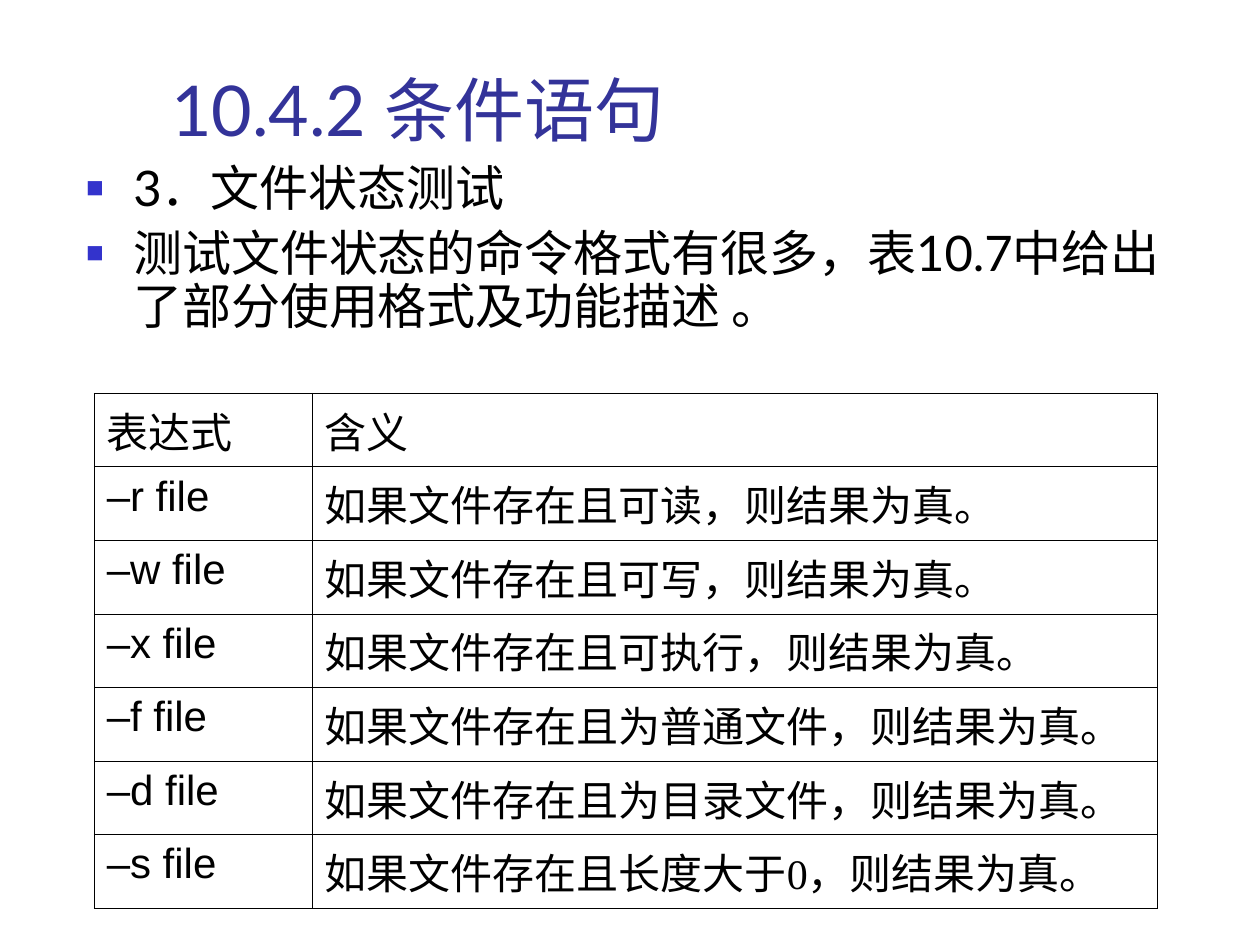
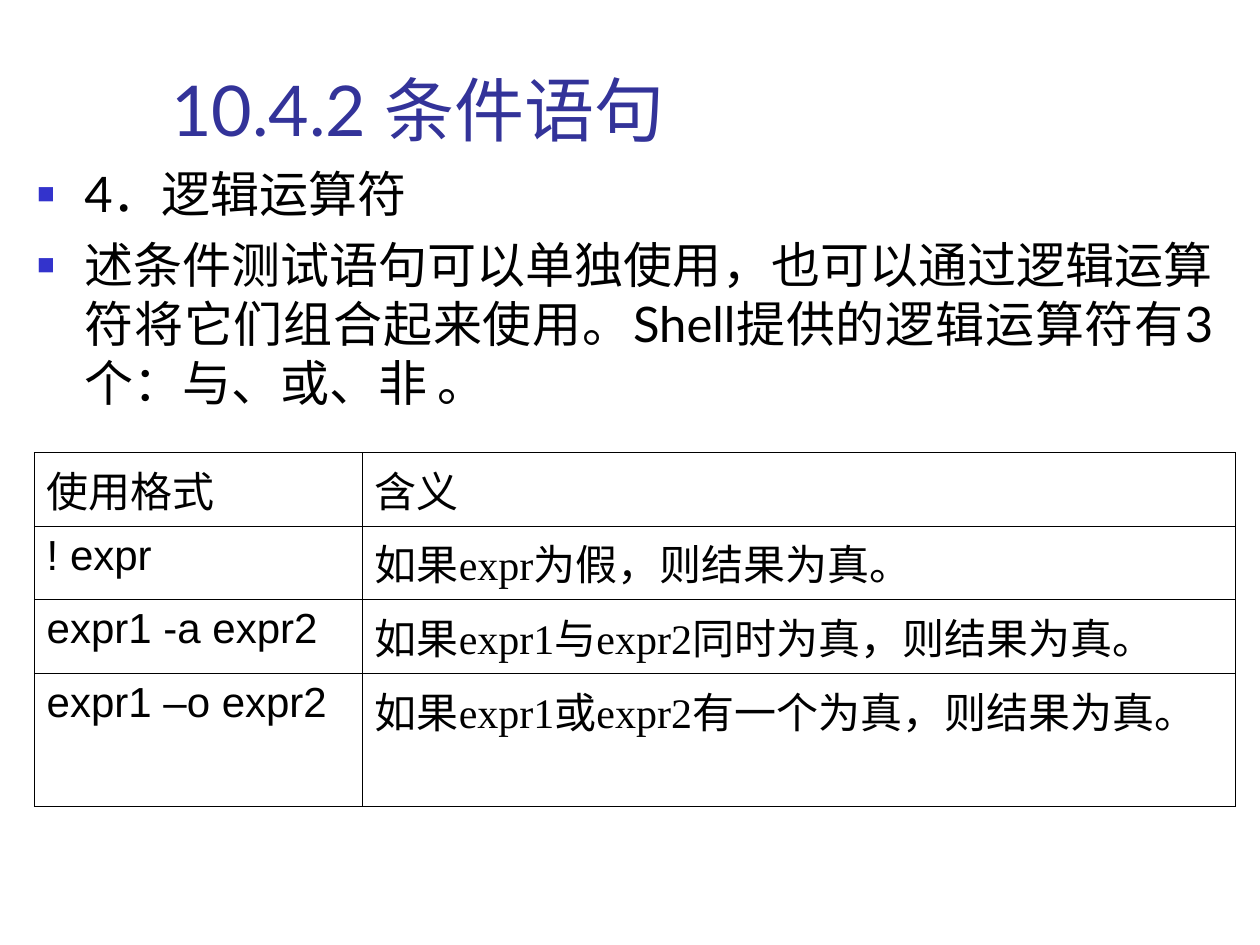
import pptx
import pptx.dml.color
import pptx.enum.text
import pptx.util
from lxml import etree
from pptx.oxml.ns import qn

Pt = pptx.util.Pt
COLORS = {"title": "333399", "bullet": "3333CC", "text": "000000", "rule": "000000"}
INDENT = Pt(27)
ROW, TALL = 42.06, 76.3
HEADING = "10.4.2 条件语句"

FILE_TESTS = [
    ("表达式", "含义"),
    ("–r file", "如果文件存在且可读，则结果为真。"),
    ("–w file", "如果文件存在且可写，则结果为真。"),
    ("–x file", "如果文件存在且可执行，则结果为真。"),
    ("–f file", "如果文件存在且为普通文件，则结果为真。"),
    ("–d file", "如果文件存在且为目录文件，则结果为真。"),
    ("–s file", "如果文件存在且长度大于0，则结果为真。"),
]
LOGIC_TESTS = [
    ("使用格式", "含义"),
    ("! expr", "如果expr为假，则结果为真。"),
    ("expr1 -a expr2", "如果expr1与expr2同时为真，则结果为真。"),
    ("expr1 –o expr2", "如果expr1或expr2有一个为真，则结果为真。"),
]


def style(para, size, face, color):
    """Set the font of a whole paragraph."""
    font = para.font
    font.size, font.name = Pt(size), face
    font.color.rgb = pptx.dml.color.RGBColor.from_string(COLORS[color])


def hang(para):
    """Give a paragraph a hanging indent and return its properties."""
    props = para._p.get_or_add_pPr()
    props.set("marL", str(INDENT))
    props.set("indent", str(-INDENT))
    return props


def add_mark(para):
    """Put a small square bullet before a paragraph."""
    props = hang(para)
    tint = etree.SubElement(props, qn("a:buClr"))
    etree.SubElement(tint, qn("a:srgbClr"), val=COLORS["bullet"])
    etree.SubElement(props, qn("a:buSzPct"), val="60000")
    etree.SubElement(props, qn("a:buFont"), typeface="Arial")
    etree.SubElement(props, qn("a:buChar"), char="■")


def add_box(slide, left, top, width, height):
    """Add a wrapping text box and return its frame."""
    box = slide.shapes.add_textbox(Pt(left), Pt(top), Pt(width), Pt(height))
    box.text_frame.word_wrap = True
    return box.text_frame


def add_title(slide):
    """Add the shared slide title."""
    frame = add_box(slide, 90.7, 41.8, 545, 47.5)
    frame.vertical_anchor = pptx.enum.text.MSO_ANCHOR.BOTTOM
    para = frame.paragraphs[0]
    para.text = HEADING
    style(para, 40, "Lato", "title")


def add_points(slide, place, points, align, spacing):
    """Add a bulleted list."""
    frame = add_box(slide, *place)
    for index, point in enumerate(points):
        para = frame.add_paragraph() if index else frame.paragraphs[0]
        para.text = point
        para.alignment, para.line_spacing = align, spacing
        if index:
            para.space_before = Pt(7)
        add_mark(para)
        style(para, 28, "Lato", "text")


def add_rules(cell):
    """Draw thin lines on all four sides of a cell."""
    props = cell._tc.get_or_add_tcPr()
    for side in ("lnL", "lnR", "lnT", "lnB"):
        line = etree.SubElement(props, qn("a:" + side), w=str(Pt(0.45)))
        fill = etree.SubElement(line, qn("a:solidFill"))
        etree.SubElement(fill, qn("a:srgbClr"), val=COLORS["rule"])


def add_grid(slide, left, top, widths, rows, last=ROW):
    """Add a plain ruled table with a code column and a meaning column."""
    heights = [ROW] * (len(rows) - 1) + [last]
    frame = slide.shapes.add_table(len(rows), len(widths), Pt(left), Pt(top),
                                   Pt(sum(widths)), Pt(sum(heights)))
    table = frame.table
    table.first_row = table.horz_banding = False
    for column, width in zip(table.columns, widths):
        column.width = Pt(width)
    for y, row in enumerate(rows):
        table.rows[y].height = Pt(heights[y])
        for x, text in enumerate(row):
            cell = table.cell(y, x)
            add_rules(cell)
            cell.fill.background()
            cell.margin_right = Pt(10 if x else 7.2)
            para = cell.text_frame.paragraphs[0]
            para.text = text
            hang(para)
            style(para, 24, "Arial" if y and not x else "Times New Roman", "text")


def add_page(deck):
    """Add a blank slide with the shared title."""
    slide = deck.slides.add_slide(deck.slide_layouts[6])
    add_title(slide)
    return slide


def main():
    """Build and save both slides."""
    deck = pptx.Presentation()
    deck.slide_width, deck.slide_height = Pt(720), Pt(540)
    align = pptx.enum.text.PP_ALIGN

    slide = add_page(deck)
    add_points(slide, (42.1, 90, 630, 106.6), [
        "3．文件状态测试",
        "测试文件状态的命令格式有很多，表10.7中给出了部分使用格式及功能描述 。",
    ], align.LEFT, 0.9)
    add_grid(slide, 53.8, 224.7, (124.6, 483), FILE_TESTS)

    slide = add_page(deck)
    add_points(slide, (14.2, 90, 686.2, 152), [
        "4．逻辑运算符",
        "述条件测试语句可以单独使用，也可以通过逻辑运算符将它们组合起来使用。"
        "Shell提供的逻辑运算符有3个：与、或、非 。",
    ], align.JUSTIFY, 1.0)
    add_grid(slide, 19.5, 258.5, (187.5, 498.7), LOGIC_TESTS, TALL)

    deck.save("out.pptx")


if __name__ == "__main__":
    main()
